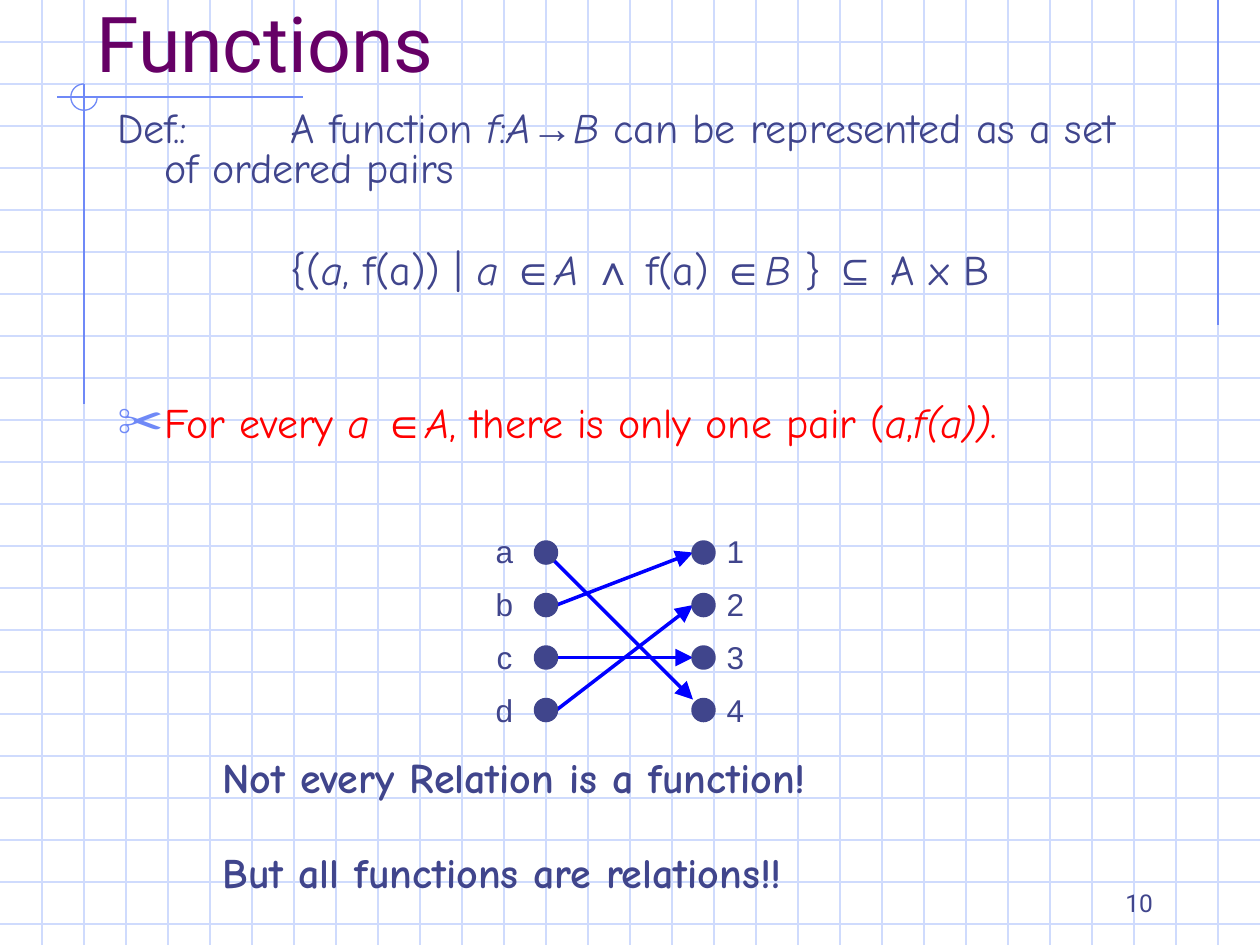
import math

import lxml.etree
import pptx
import pptx.dml.color
import pptx.enum.shapes
import pptx.enum.text
import pptx.oxml.ns
import pptx.util

Pt = pptx.util.Pt
qn = pptx.oxml.ns.qn
ALIGN = pptx.enum.text.PP_ALIGN
ANCHOR = pptx.enum.text.MSO_ANCHOR
COLORS = {
    "grid": "CFDBFD",
    "frame": "6F89F7",
    "text": "40458C",
    "title": "660066",
    "red": "FF0000",
    "arrow": "0000FF",
}
COLORS = {name: pptx.dml.color.RGBColor.from_string(value) for name, value in COLORS.items()}

presentation = pptx.Presentation()
presentation.slide_width = Pt(720)
presentation.slide_height = Pt(540)
slide = presentation.slides.add_slide(presentation.slide_layouts[6])


def add_line(start, end, color, width=0.75, arrow=False):
    line = slide.shapes.add_connector(
        pptx.enum.shapes.MSO_CONNECTOR.STRAIGHT, *[Pt(value) for value in start + end])
    line.line.color.rgb = COLORS[color]
    line.line.width = Pt(width)
    if arrow:
        lxml.etree.SubElement(
            line.line._get_or_add_ln(), qn("a:tailEnd"), type="triangle", w="lg", len="lg")
    lxml.etree.SubElement(line._element.spPr, qn("a:effectLst"))


def add_text(box, paragraphs, size, font="Comic Neue", color="text", bold=None,
             align=ALIGN.LEFT, anchor=ANCHOR.TOP, wrap=True, line_spacing=None):
    shape = slide.shapes.add_textbox(*[Pt(value) for value in box])
    frame = shape.text_frame
    frame.word_wrap = wrap
    frame.vertical_anchor = anchor
    for index, runs in enumerate(paragraphs):
        paragraph = frame.paragraphs[0] if index == 0 else frame.add_paragraph()
        paragraph.alignment = align
        paragraph.line_spacing = line_spacing
        for text, style in runs:
            run = paragraph.add_run()
            run.text = text
            run.font.size = Pt(size)
            run.font.name = "Arial" if style == "symbol" else font
            run.font.italic = style == "italic"
            run.font.bold = bold
            run.font.color.rgb = COLORS[color]
    return frame


for row in range(1, 23):
    add_line((0, 24 * row), (720, 24 * row), "grid")
for column in range(1, 30):
    add_line((24 * column, 0), (24 * column, 540), "grid")

add_line((696, 0), (696, 186), "frame")
add_line((173, 55.5), (32.5, 55.5), "frame")
add_line((48, 48), (48, 231), "frame")

arc_points = [
    (4800 + 750 * math.cos(math.radians(angle)), 5550 - 750 * math.sin(math.radians(angle)))
    for angle in range(90, 361, 5)
]
builder = slide.shapes.build_freeform(*arc_points[0], scale=Pt(1) / 100)
builder.add_line_segments(arc_points[1:], close=False)
arc = builder.convert_to_shape()
arc.shadow.inherit = False
arc.fill.background()
arc.line.color.rgb = COLORS["frame"]
arc.line.width = Pt(0.75)

add_text((516, 510, 150, 18), [[("10", "")]], 14, "Roboto", align=ALIGN.RIGHT, anchor=ANCHOR.BOTTOM)
add_text((48, 6, 648, 48), [[("Functions", "")]], 44, "Roboto", "title", anchor=ANCHOR.BOTTOM)

definition = [
    ("Def.:\tA function ", ""), ("f", "italic"), (":", ""), ("A", "italic"), ("→", "symbol"),
    ("B", "italic"), (" can be represented as a set \tof ordered pairs", ""),
]
pair_set = [
    ("\t\t{(", ""), ("a", "italic"), (", f(a)) | ", ""), ("a ", "italic"), ("∈", "symbol"),
    ("A ", "italic"), ("∧ ", "symbol"), ("f(a) ", ""), ("∈", "symbol"), ("B ", "italic"),
    ("} ", ""), ("⊆", "symbol"), (" A x B", ""),
]
uniqueness = [
    ("For every ", ""), ("a ", "italic"), ("∈", "symbol"), ("A", "italic"),
    (", there is only one pair (", ""), ("a", "italic"), (",", ""), ("f(a))", "italic"), (".", ""),
]
body = add_text((60, 60, 618, 252), [definition, pair_set, uniqueness], 24, line_spacing=0.8)
for paragraph, space, bulleted in zip(body.paragraphs, (0, 35, 64.5), (False, False, True)):
    paragraph.space_before = Pt(space)
    properties = paragraph._p.get_or_add_pPr()
    properties.set("marL", str(Pt(27)))
    properties.set("indent", str(Pt(-27)))
    properties.set("defTabSz", str(Pt(72)))
    if bulleted:
        bullet_color = lxml.etree.SubElement(properties, qn("a:buClr"))
        lxml.etree.SubElement(bullet_color, qn("a:srgbClr"), val=str(COLORS["frame"]))
        lxml.etree.SubElement(properties, qn("a:buSzPct"), val="110000")
        lxml.etree.SubElement(properties, qn("a:buFont"), typeface="Arial")
        lxml.etree.SubElement(properties, qn("a:buChar"), char="✂")
        for run in paragraph.runs:
            run.font.color.rgb = COLORS["red"]
    else:
        lxml.etree.SubElement(properties, qn("a:buNone"))

for left, labels in ((408, "1234"), (276, "abcd")):
    add_text((left, 292, 24.5, 128), [[(label, "")] for label in labels], 18, "Arial",
             align=ALIGN.CENTER, wrap=False, line_spacing=1.4)

row_centers = [315.75 + 30 * row for row in range(4)]
a, b, c, d = row_centers
for start, end in (
    ((318, c), (396, c)),
    ((312, a), (396, d - 6)),
    ((318, d), (396, b)),
    ((318, b), (396, a)),
):
    add_line(start, end, "arrow", 2, arrow=True)

for left in (306, 396):
    for center in row_centers:
        dot = slide.shapes.add_shape(
            pptx.enum.shapes.MSO_SHAPE.OVAL, Pt(left), Pt(center - 6), Pt(12), Pt(12))
        dot.shadow.inherit = False
        dot.fill.solid()
        dot.fill.fore_color.rgb = COLORS["text"]
        dot.line.color.rgb = COLORS["text"]
        dot.line.width = Pt(2)

for top, remark in ((426, "Not every Relation is a function!"), (480, "But all functions are relations!!")):
    add_text((120, top, 462, 36), [[(remark, "")]], 24, bold=True)

presentation.save("out.pptx")
